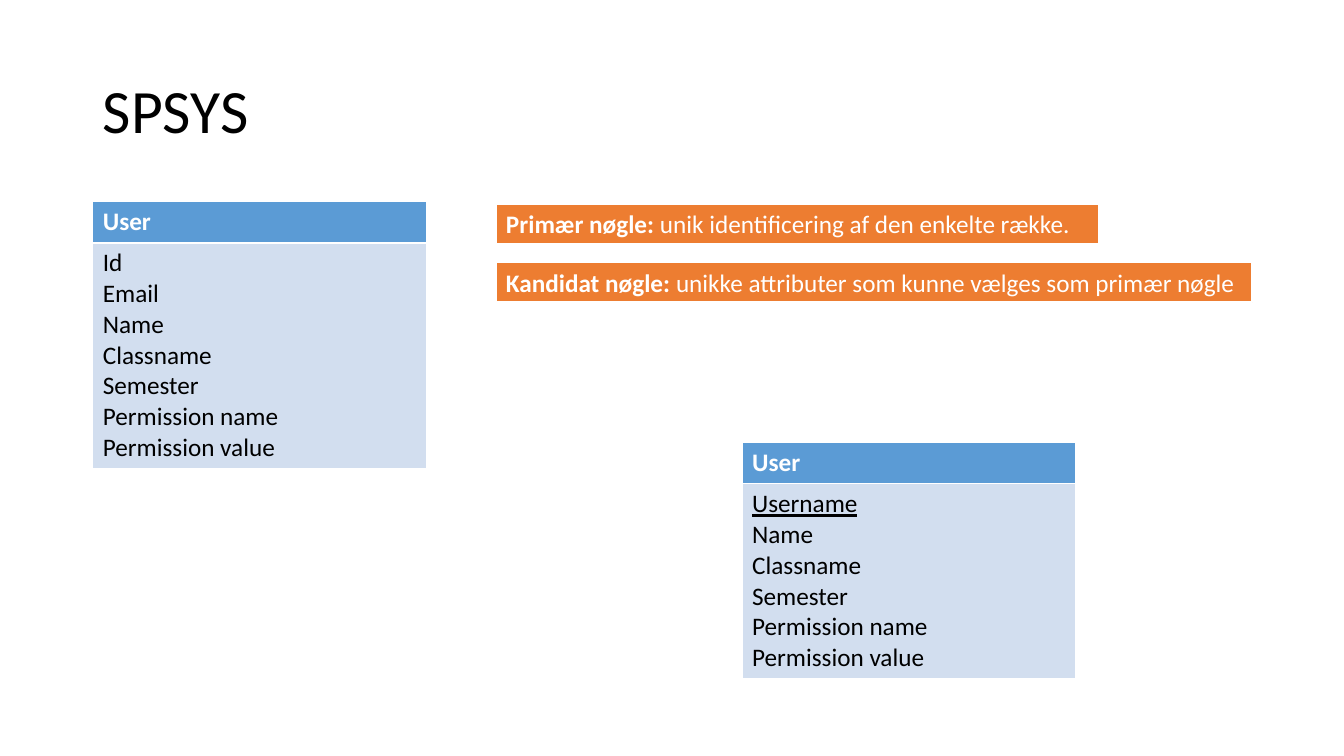
from pptx import Presentation
from pptx.dml.color import RGBColor
from pptx.enum.shapes import MSO_SHAPE
from pptx.enum.text import MSO_ANCHOR, PP_ALIGN
from pptx.util import Inches, Pt

WHITE = RGBColor(0xFF, 0xFF, 0xFF)
BLACK = RGBColor(0x00, 0x00, 0x00)
BLUE = RGBColor(0x5B, 0x9B, 0xD5)
PALE_BLUE = RGBColor(0xD2, 0xDE, 0xEF)
ORANGE = RGBColor(0xED, 0x7D, 0x31)

FONT = "Calibri"
ENTITY_WIDTH = 3.31
HEADER_HEIGHT = 0.41
SHARED_ATTRIBUTES = ["Name", "Classname", "Semester", "Permission name", "Permission value"]


def add_run(paragraph, text, color, size=18, bold=False, underline=False):
    """Append one formatted run to a paragraph."""
    run = paragraph.add_run()
    run.text = text
    run.font.name = FONT
    run.font.size = Pt(size)
    run.font.bold = bold
    run.font.underline = underline
    run.font.color.rgb = color


def set_title(slide, text):
    """Place and format the slide title."""
    title = slide.shapes.title
    title.left, title.top = Inches(0.92), Inches(0.4)
    title.width, title.height = Inches(11.5), Inches(1.45)
    title.text_frame.vertical_anchor = MSO_ANCHOR.MIDDLE
    heading = title.text_frame.paragraphs[0]
    heading.alignment = PP_ALIGN.LEFT
    heading.line_spacing = 0.9
    add_run(heading, text, BLACK, size=44)


def fill_cell(cell, lines, fill, color, bold=False, key=None):
    """Fill a cell with one paragraph per line, underlining the key."""
    cell.fill.solid()
    cell.fill.fore_color.rgb = fill
    frame = cell.text_frame
    for index, line in enumerate(lines):
        paragraph = frame.add_paragraph() if index else frame.paragraphs[0]
        add_run(paragraph, line, color, bold=bold, underline=line == key)


def add_entity(slide, left, top, height, name, attributes, key=None):
    """Add an entity table with a header and an attribute list."""
    entity = slide.shapes.add_table(
        2, 1, Inches(left), Inches(top), Inches(ENTITY_WIDTH), Inches(height)
    ).table
    entity.rows[0].height = Inches(HEADER_HEIGHT)
    entity.rows[1].height = Inches(height - HEADER_HEIGHT)
    fill_cell(entity.cell(0, 0), [name], BLUE, WHITE, bold=True)
    fill_cell(entity.cell(1, 0), attributes, PALE_BLUE, BLACK, key=key)


def add_definition(slide, top, width, term, meaning):
    """Add an orange bar that defines a term."""
    bar = slide.shapes.add_shape(
        MSO_SHAPE.RECTANGLE, Inches(4.92), Inches(top), Inches(width), Inches(0.4)
    )
    bar.shadow.inherit = False
    bar.fill.solid()
    bar.fill.fore_color.rgb = ORANGE
    bar.line.color.rgb = WHITE
    bar.line.width = Pt(1.5)
    bar.text_frame.word_wrap = True
    bar.text_frame.vertical_anchor = MSO_ANCHOR.TOP
    definition = bar.text_frame.paragraphs[0]
    definition.alignment = PP_ALIGN.LEFT
    add_run(definition, term, WHITE, bold=True)
    add_run(definition, meaning, WHITE)


def main():
    """Build and save the slide."""
    presentation = Presentation()
    presentation.slide_width = Inches(13.33)
    presentation.slide_height = Inches(7.5)
    slide = presentation.slides.add_slide(presentation.slide_layouts[5])

    set_title(slide, "SPSYS")
    add_entity(slide, 0.92, 2, 2.61, "User", ["Id", "Email"] + SHARED_ATTRIBUTES)
    add_definition(slide, 2.02, 5.98, "Primær nøgle: ",
                   "unik identificering af den enkelte række.")
    add_definition(slide, 2.6, 7.5, "Kandidat nøgle: ",
                   "unikke attributer som kunne vælges som primær nøgle")
    add_entity(slide, 7.36, 4.39, 2.31, "User", ["Username"] + SHARED_ATTRIBUTES,
               key="Username")

    presentation.save("out.pptx")


if __name__ == "__main__":
    main()
